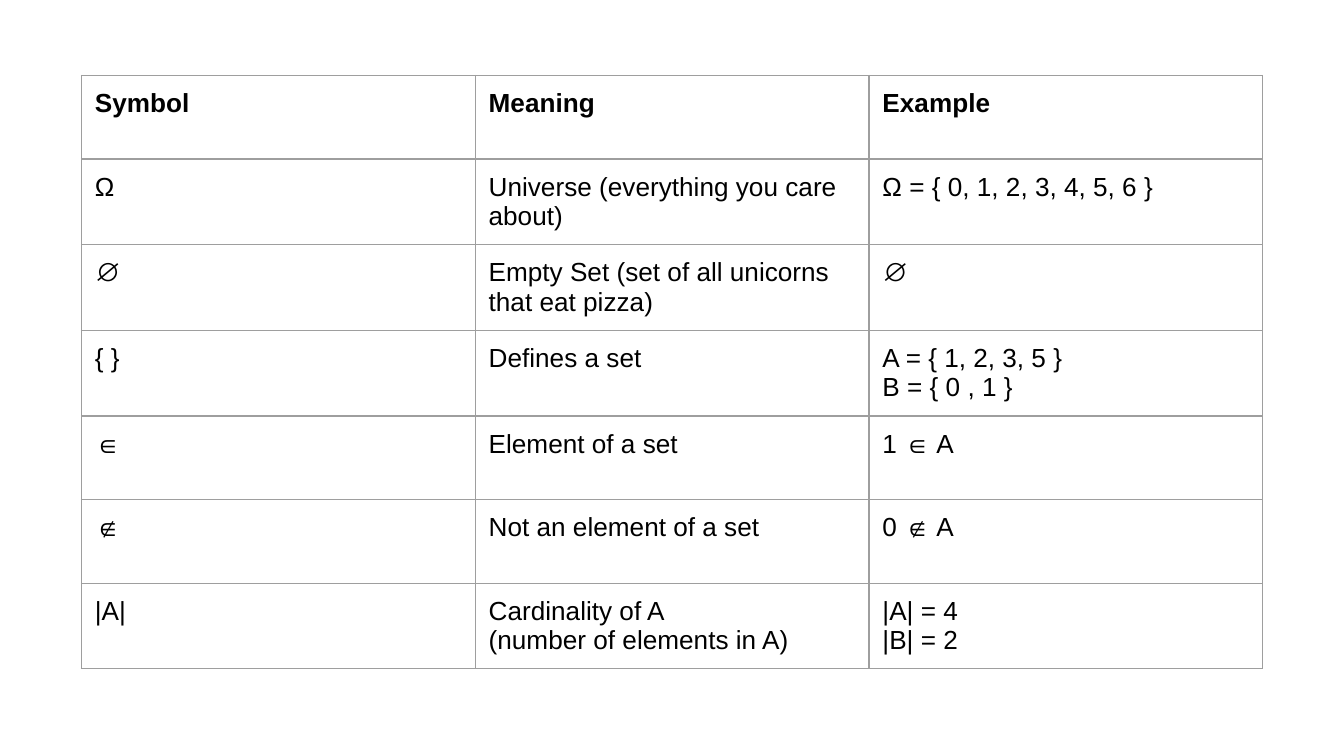
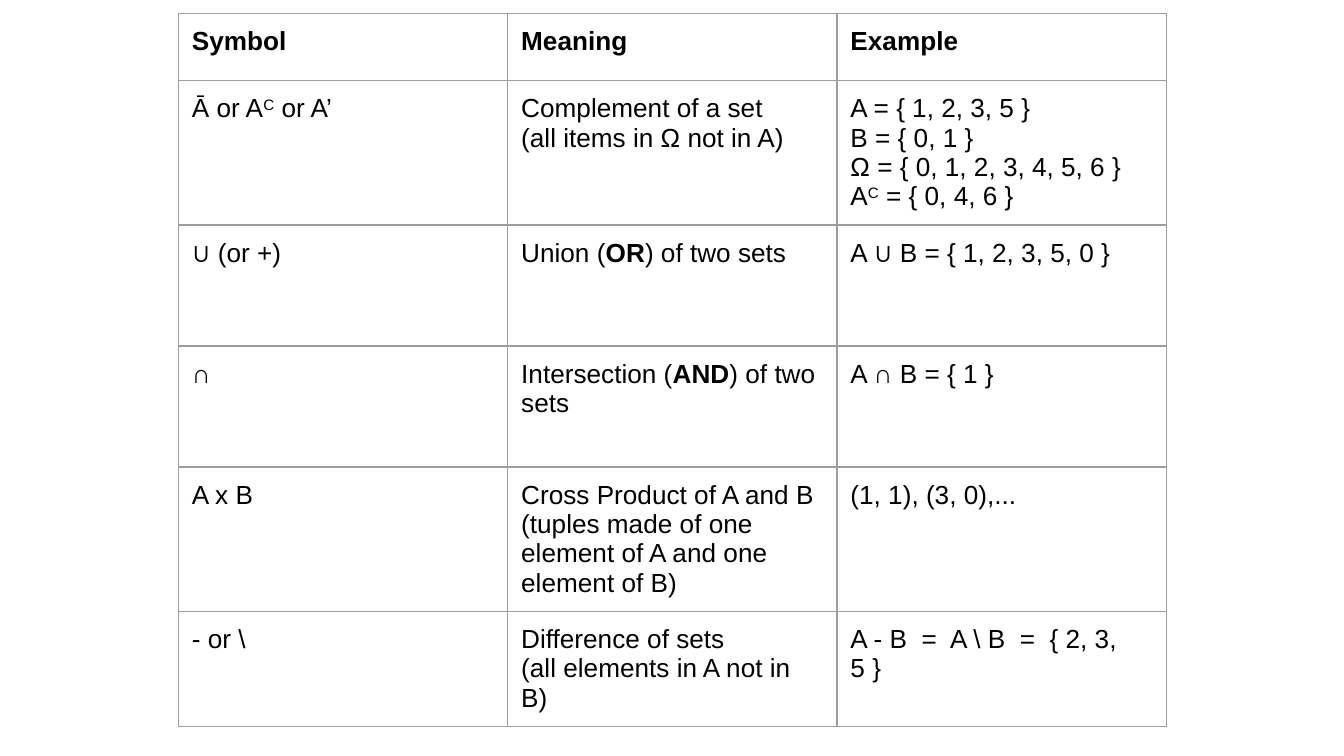
from lxml import etree
from pptx import Presentation
from pptx.dml.color import RGBColor
from pptx.oxml.ns import qn
from pptx.util import Pt

BLACK = RGBColor(0x00, 0x00, 0x00)
GRID = RGBColor(0x9E, 0x9E, 0x9E)
FONT = "Arial"
BORDERS = ("a:lnL", "a:lnR", "a:lnT", "a:lnB")
BORDER_WIDTH = Pt(0.75)
INSET = Pt(7.2)
BOLD_MARK, SUPERSCRIPT_MARK = "*", "^"

CELL_FORMAT = {
    "margin_left": INSET,
    "margin_right": INSET,
    "margin_top": INSET,
    "margin_bottom": INSET,
}
TABLE_FORMAT = {"first_row": False, "horz_banding": False}
FONT_FORMAT = {"name": FONT, "size": Pt(14)}

HEADER = ("*Symbol*", "*Meaning*", "*Example*")
BASICS = [
    HEADER,
    ("Ω", "Universe (everything you care about)", "Ω = { 0, 1, 2, 3, 4, 5, 6 }"),
    ("∅", "Empty Set (set of all unicorns that eat pizza)", "∅"),
    ("{ }", "Defines a set", "A = { 1, 2, 3, 5 }\nB = { 0 , 1 }"),
    ("∈", "Element of a set", "1 ∈ A"),
    ("∉", "Not an element of a set", "0 ∉ A"),
    ("|A|", "Cardinality of A\n(number of elements in A)", "|A| = 4\n|B| = 2"),
]
OPERATIONS = [
    HEADER,
    (
        "Ā or A^C^ or A’",
        "Complement of a set\n(all items in Ω not in A)",
        "A = { 1, 2, 3, 5 }\nB = { 0, 1 }\nΩ = { 0, 1, 2, 3, 4, 5, 6 }\nA^C^ = { 0, 4, 6 }",
    ),
    ("∪ (or +)", "Union (*OR*) of two sets", "A ∪ B = { 1, 2, 3, 5, 0 }"),
    ("∩", "Intersection (*AND*) of two sets", "A ∩ B = { 1 }"),
    (
        "A x B",
        "Cross Product of A and B (tuples made of one element of A and one element of B)",
        "(1, 1), (3, 0),...",
    ),
    (
        "- or \\",
        "Difference of sets\n(all elements in A not in B)",
        "A - B  =  A \\ B  =  { 2, 3, 5 }",
    ),
]


def apply_format(target, values):
    for name, value in values.items():
        setattr(target, name, value)


def add_run(paragraph, text, bold, superscript):
    run = paragraph.add_run()
    run.text = text
    apply_format(run.font, {**FONT_FORMAT, "bold": bold})
    run.font.color.rgb = BLACK
    properties = run.font._element
    for script in ("a:ea", "a:cs", "a:sym"):
        if script != "a:sym":
            etree.SubElement(properties, qn(script), typeface=FONT)
        else:
            etree.SubElement(properties, qn(script), typeface=FONT)
    if superscript:
        properties.set("baseline", "30000")


def write_line(paragraph, line):
    for bold_index, part in enumerate(line.split(BOLD_MARK)):
        for raised_index, text in enumerate(part.split(SUPERSCRIPT_MARK)):
            if text:
                add_run(paragraph, text, bold_index % 2 == 1, raised_index % 2 == 1)


def add_borders(cell):
    properties = cell._tc.get_or_add_tcPr()
    for side in BORDERS:
        line = etree.SubElement(properties, qn(side), w=str(BORDER_WIDTH))
        fill = etree.SubElement(line, qn("a:solidFill"))
        etree.SubElement(fill, qn("a:srgbClr"), val=str(GRID))


def write_cell(cell, text):
    apply_format(cell, CELL_FORMAT)
    add_borders(cell)
    cell.fill.background()
    frame = cell.text_frame
    for index, line in enumerate(text.split("\n")):
        paragraph = frame.add_paragraph() if index else frame.paragraphs[0]
        write_line(paragraph, line)


def add_symbol_slide(presentation, entries, left, top, width, row_heights):
    slide = presentation.slides.add_slide(presentation.slide_layouts[6])
    table = slide.shapes.add_table(
        len(entries), len(HEADER), Pt(left), Pt(top), Pt(width), Pt(sum(row_heights))
    ).table
    apply_format(table, TABLE_FORMAT)
    for column in table.columns:
        column.width = Pt(width / len(HEADER))
    for row, height, texts in zip(table.rows, row_heights, entries):
        row.height = Pt(height)
        for cell, text in zip(row.cells, texts):
            write_cell(cell, text)


def main():
    presentation = Presentation()
    presentation.slide_width = Pt(720)
    presentation.slide_height = Pt(405)
    add_symbol_slide(presentation, BASICS, 43.6, 40.4, 633, [44.8] * len(BASICS))
    add_symbol_slide(
        presentation, OPERATIONS, 95.6, 7.2, 529.2, [36, 64.8, 64.8, 64.8, 75.6, 51.8]
    )
    presentation.save("out.pptx")


if __name__ == "__main__":
    main()
